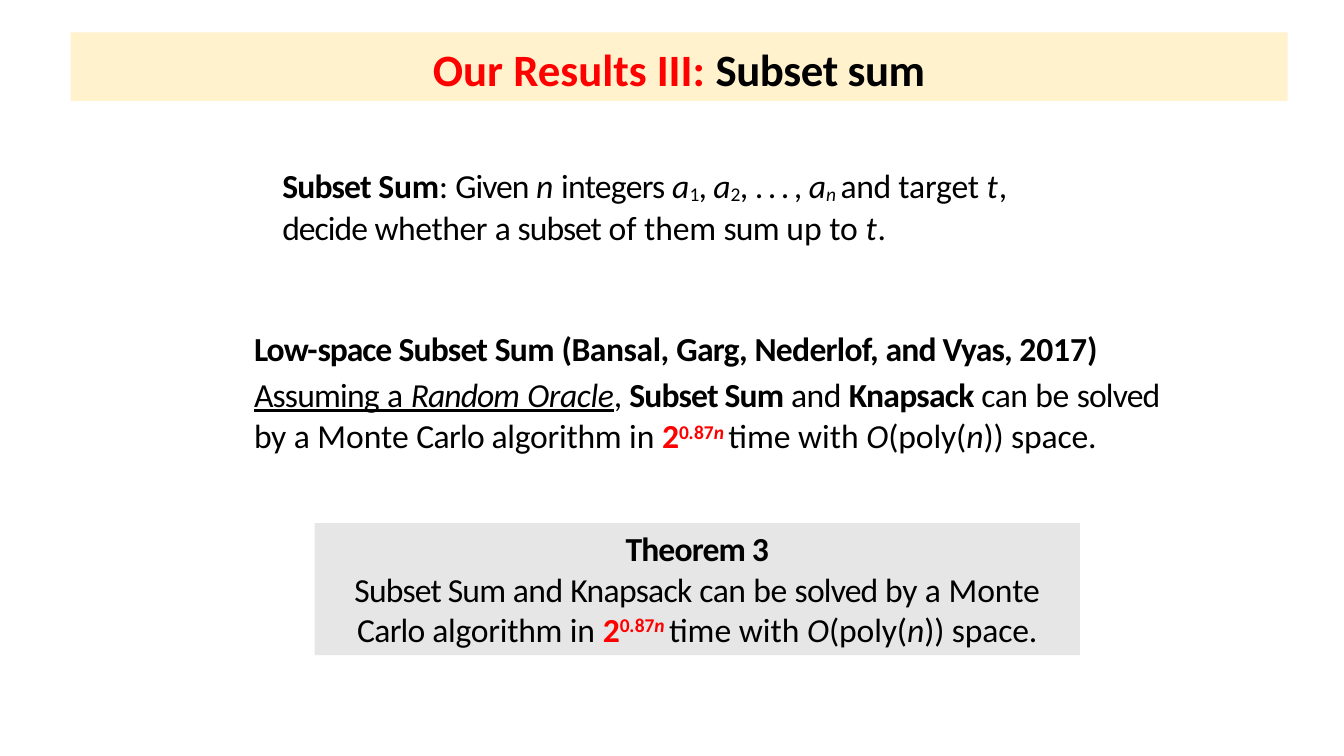
from pptx import Presentation
from pptx.dml.color import RGBColor as RGB
from pptx.enum.shapes import MSO_SHAPE as Shape
from pptx.enum.text import MSO_ANCHOR as Anchor, PP_ALIGN as Align
from pptx.util import Inches, Pt

THEME = {
    "font": "Calibri", "title": 32, "body": 24,
    "ink": RGB(0, 0, 0), "red": RGB(255, 0, 0),
    "cream": RGB(255, 242, 204), "grey": RGB(231, 230, 230),
}
STYLES = {
    "b": {"bold": True}, "i": {"italic": True}, "u": {"line": True},
    "r": {"color": "red"}, "s": {"base": -10}, "p": {"base": 28},
}

TITLE = [("Our Results III: ", "br", 0), ("Subset sum", "b", -0.3)]
PROBLEM = [
    ("Subset ", "b", -0.6), ("Sum", "b", -0.2), (": ", "", -0.2),
    ("Given ", "", -0.7), ("n ", "i", 0), ("integers ", "", -0.5),
    ("a", "i", -0.7), ("1", "s", -1), (", a", "i", -0.7), ("2", "s", -1),
    (", ", "i", -0.7), (". . . , ", "i", -1.1), ("a", "i", 0), ("n ", "is", 0),
    ("and ", "", -0.3), ("target ", "", -0.1), ("t", "i", 0.8), (", ", "", 0.8),
    ("decide ", "", -0.7), ("whether ", "", -0.3), ("a ", "", -0.5),
    ("subset ", "", -0.7), ("of ", "", 0), ("them ", "", -0.1),
    ("sum ", "", -0.6), ("up to ", "", 0), ("t", "i", 0.6), (".", "", 0.6),
]
PRIOR = [
    ("Low-", "b", -0.7), ("space ", "b", -0.8), ("Subset ", "b", -0.6),
    ("Sum ", "b", -0.5), ("(Bansal, ", "b", -0.3), ("Garg, ", "b", -0.6),
    ("Nederlof, ", "b", -0.5), ("and Vyas, ", "b", -0.6), ("2017)", "b", -0.1),
]
ORACLE = [
    ("Assuming", "u", -0.6), (" ", "u", -0.2), ("a", "u", 0), (" ", "u", -0.2),
    ("Random", "iu", -0.7), (" ", "iu", -0.1), ("Oracle", "iu", -0.3),
    (", ", "", -0.3),
]
BOUND = [
    ("can ", "", -0.3), ("be ", "", -0.2), ("solved ", "", -0.6),
    ("by ", "", -0.2), ("a Monte ", "", 0), ("Carlo ", "", -0.5),
    ("algorithm ", "", -0.2), ("in ", "", 0), ("2", "br", -0.1),
    ("0", "brp", -0.1), (".", "birp", -0.1), ("87", "brp", -0.1),
    ("n ", "birp", -0.1), ("time with ", "", 0), ("O", "i", -0.1),
    ("(poly(", "", -0.1), ("n", "i", -0.1), (")) space.", "", -0.1),
]


def claim(mark):
    """Return the shared claim with its problem names in one style."""
    return [("Subset Sum ", mark, -0.6), ("and ", "", -0.3),
            ("Knapsack ", mark, -0.5)] + BOUND


def write(para, text, size="body", bold=False, italic=False, line=False,
          color="ink", base=0, gap=0):
    """Add one formatted run to a paragraph."""
    run = para.add_run()
    run.text = text
    font = run.font
    font.name, font.size = THEME["font"], Pt(THEME[size])
    font.bold, font.italic, font.underline = bold, italic, line
    font.color.rgb = THEME[color]
    props = run._r.get_or_add_rPr()
    props.set("spc", str(round(gap * 100)))
    if base:
        props.set("baseline", str(base * 1000))


def fill(shape, paras, size="body", align=Align.LEFT, anchor=Anchor.TOP,
         left=0.1, right=0.1):
    """Fill a shape with paragraphs of (line spacing, space before, runs)."""
    frame = shape.text_frame
    frame.word_wrap = True
    frame.vertical_anchor = anchor
    frame.margin_left, frame.margin_right = Inches(left), Inches(right)
    frame.margin_top = frame.margin_bottom = Inches(0.05)
    for k, (lead, before, runs) in enumerate(paras):
        para = frame.add_paragraph() if k else frame.paragraphs[0]
        para.alignment, para.line_spacing = align, lead
        para.space_before = Pt(before)
        for text, marks, gap in runs:
            style = {}
            for mark in marks:
                style.update(STYLES[mark])
            write(para, text, size=size, gap=gap, **style)


def paint(shape, color):
    """Give a shape a plain fill."""
    shape.fill.solid()
    shape.fill.fore_color.rgb = THEME[color]


def main():
    """Build and save the slide."""
    deck = Presentation()
    deck.slide_width, deck.slide_height = Inches(13.33), Inches(7.5)
    slide = deck.slides.add_slide(deck.slide_layouts[5])
    shapes = slide.shapes

    title = shapes.title
    title.left, title.top = Inches(0.7), Inches(0.32)
    title.width, title.height = Inches(12.07), Inches(0.68)
    paint(title, "cream")
    fill(title, [(0.9, 0, TITLE)], size="title", align=Align.CENTER,
         anchor=Anchor.BOTTOM)

    notes = [
        ((2.62, 1.57, 8.58, 0.92), [(1.03, 0, PROBLEM)]),
        ((2.34, 3.2, 9.74, 1.36),
         [(1, 0, PRIOR), (1.03, 3.3, ORACLE + claim("b"))]),
    ]
    for place, paras in notes:
        box = shapes.add_textbox(*map(Inches, place))
        fill(box, paras, left=0.18, right=0.3)

    panel = shapes.add_shape(
        Shape.RECTANGLE, *map(Inches, (3.12, 5.19, 7.59, 1.31)))
    panel.shadow.inherit = False
    panel.line.fill.background()
    paint(panel, "grey")
    head = [("Theorem 3", "b", -0.6)]
    fill(panel, [(1, 0, head), (1, 0, claim(""))], align=Align.CENTER)

    deck.save("out.pptx")


if __name__ == "__main__":
    main()
